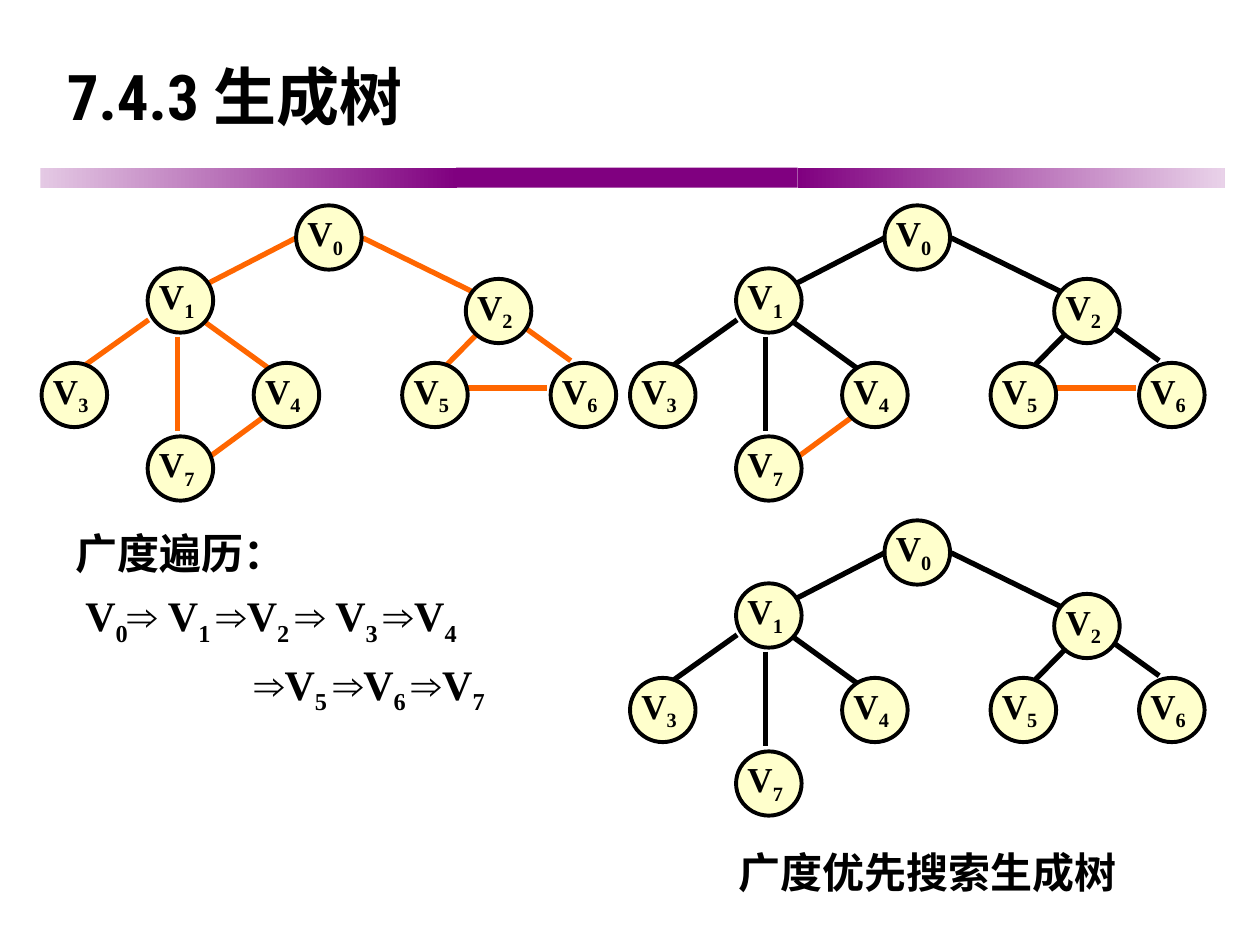
from lxml.etree import SubElement
from pptx import Presentation
from pptx.dml.color import RGBColor
from pptx.enum.shapes import MSO_CONNECTOR, MSO_SHAPE
from pptx.enum.text import MSO_ANCHOR, MSO_AUTO_SIZE, PP_ALIGN
from pptx.oxml.ns import qn
from pptx.util import Inches, Pt

BLACK, ORANGE, CREAM, PURPLE = "000000", "FF6600", "FFFFCC", "800080"
SERIF, SANS, TITLE_FONT = "Times New Roman", "Arial", "Roboto Condensed"
ARROW = "⇒"

# Graph grid, in inches; vertices and edge ends are (column, row) on it
COLUMN, ROW = 1.01 / 6, 1 / 12
NODE_WIDTH, NODE_HEIGHT = 0.52, 0.51
VERTICES = [(12, 0), (5, 6), (20, 7), (0, 15), (10, 15), (17, 15), (24, 15), (5, 22)]
TREE_EDGES = [
    ((1.85, 15.5), (5.05, 10.9)),   # V3 - V1
    ((7.3, 8), (12, 3.1)),          # V1 - V0
    ((7.55, 10.9), (10.7, 15.5)),   # V1 - V4
    ((15.15, 3.1), (20.5, 8.4)),    # V0 - V2
    ((22.75, 11.6), (24.95, 14.8)),  # V2 - V6
    ((18.95, 15.5), (20.85, 11.6)),  # V5 - V2
    ((6.4, 12.5), (6.4, 21.5)),     # V1 - V7
]
CROSS_EDGES = [
    ((19.55, 17.4), (23.85, 17.4)),  # V5 - V6
    ((7.55, 24.5), (11.05, 19.3)),  # V7 - V4
]


def color(value):
    return RGBColor.from_string(value)


def add_run(paragraph, text, size, font_name=SERIF):
    run = paragraph.add_run()
    run.text = text
    run.font.name = font_name
    run.font.size = Pt(size)
    run.font.bold = True
    run.font.color.rgb = color(BLACK)
    return run


def add_symbols(paragraph, symbols, size):
    """Write vertex letters, lowered digits and arrows, one run each."""
    for symbol in symbols:
        is_arrow = symbol.strip() == ARROW
        run = add_run(paragraph, symbol, size, SANS if is_arrow else SERIF)
        if symbol.strip().isdigit():
            run._r.get_or_add_rPr().set("baseline", "-25000")


def add_text_box(shapes, left, top, width, height, wrap=True):
    box = shapes.add_textbox(Inches(left), Inches(top), Inches(width), Inches(height))
    box.text_frame.word_wrap = wrap
    return box.text_frame


def add_band(slide, left, right, *colors):
    """Draw one piece of the rule under the title: plain, or fading between two colours."""
    band = slide.shapes.add_shape(
        MSO_SHAPE.RECTANGLE, Inches(left), Inches(1.33), Inches(right - left), Inches(0.16))
    band.shadow.inherit = False
    band.line.fill.background()
    if len(colors) == 1:
        band.fill.solid()
        band.fill.fore_color.rgb = color(colors[0])
    else:
        band.fill.gradient()
        band.fill.gradient_angle = 0
        for stop, value in zip(band.fill.gradient_stops, colors):
            stop.color.rgb = color(value)


def add_edge(shapes, start, end, line_color):
    connector = shapes.add_connector(
        MSO_CONNECTOR.STRAIGHT, *(Inches(length) for length in start + end))
    connector.line.color.rgb = color(line_color)
    connector.line.width = Pt(3)
    SubElement(connector._element.spPr, qn("a:effectLst"))


def add_vertex(shapes, left, top, number):
    node = shapes.add_shape(
        MSO_SHAPE.OVAL, Inches(left), Inches(top), Inches(NODE_WIDTH), Inches(NODE_HEIGHT))
    node.shadow.inherit = False
    node.fill.solid()
    node.fill.fore_color.rgb = color(CREAM)
    node.line.color.rgb = color(BLACK)
    node.line.width = Pt(2.25)
    label = add_text_box(shapes, left - 0.08, top, 0.71, 0.48)
    label.margin_left = Inches(0.17)
    add_symbols(label.paragraphs[0], ["V", str(number)], 20)


def add_graph(slide, left, top, tree_color, cross_color=None):
    shapes = slide.shapes.add_group_shape().shapes

    def place(point):
        return left + point[0] * COLUMN, top + point[1] * ROW

    edges = [(edge, tree_color) for edge in TREE_EDGES]
    if cross_color:
        edges += [(edge, cross_color) for edge in CROSS_EDGES]
    for (start, end), line_color in edges:
        add_edge(shapes, place(start), place(end), line_color)
    for number, vertex in enumerate(VERTICES):
        add_vertex(shapes, *place(vertex), number)


def fill_title(slide):
    title = slide.shapes.title
    title.left, title.top = Inches(0.43), Inches(0.36)
    title.width, title.height = Inches(9.06), Inches(0.8)
    title.text_frame.auto_size = MSO_AUTO_SIZE.NONE
    title.text_frame.vertical_anchor = MSO_ANCHOR.MIDDLE
    paragraph = title.text_frame.paragraphs[0]
    paragraph.alignment = PP_ALIGN.LEFT
    add_run(paragraph, "7.4.3 生成树", 36, TITLE_FONT)


def add_traversal(slide):
    frame = add_text_box(slide.shapes, 0.5, 4.06, 4.33, 1.67)
    frame.vertical_anchor = MSO_ANCHOR.MIDDLE
    lines = [
        (0, ["广度遍历："]),
        (0.08, ["V", "0", ARROW, " V", "1 ", ARROW, "V", "2 ", ARROW, " V", "3 ", ARROW,
                "V", "4"]),
        (1.42, [ARROW, "V", "5 ", ARROW, "V", "6 ", ARROW, "V", "7"]),
    ]
    for index, (indent, symbols) in enumerate(lines):
        paragraph = frame.add_paragraph() if index else frame.paragraphs[0]
        paragraph.line_spacing = 1.2
        paragraph._p.get_or_add_pPr().set("marL", str(Inches(indent)))
        add_symbols(paragraph, symbols, 24)


def add_caption(slide):
    frame = add_text_box(slide.shapes, 5.76, 6.63, 3.2, 0.54, wrap=False)
    frame.paragraphs[0].line_spacing = 1.1
    add_run(frame.paragraphs[0], "广度优先搜索生成树", 24)


def main():
    presentation = Presentation()
    presentation.slide_width, presentation.slide_height = Inches(10), Inches(7.5)
    slide = presentation.slides.add_slide(presentation.slide_layouts[5])
    fill_title(slide)
    add_band(slide, 0.32, 3.63, "E4C9E4", PURPLE)
    add_band(slide, 3.62, 6.33, PURPLE)
    add_band(slide, 6.33, 9.72, PURPLE, "E9D2E9")
    add_traversal(slide)
    add_graph(slide, 0.33, 1.63, ORANGE, ORANGE)
    add_graph(slide, 5, 1.63, BLACK, ORANGE)
    add_graph(slide, 5, 4.13, BLACK)
    add_caption(slide)
    presentation.save("out.pptx")


if __name__ == "__main__":
    main()
